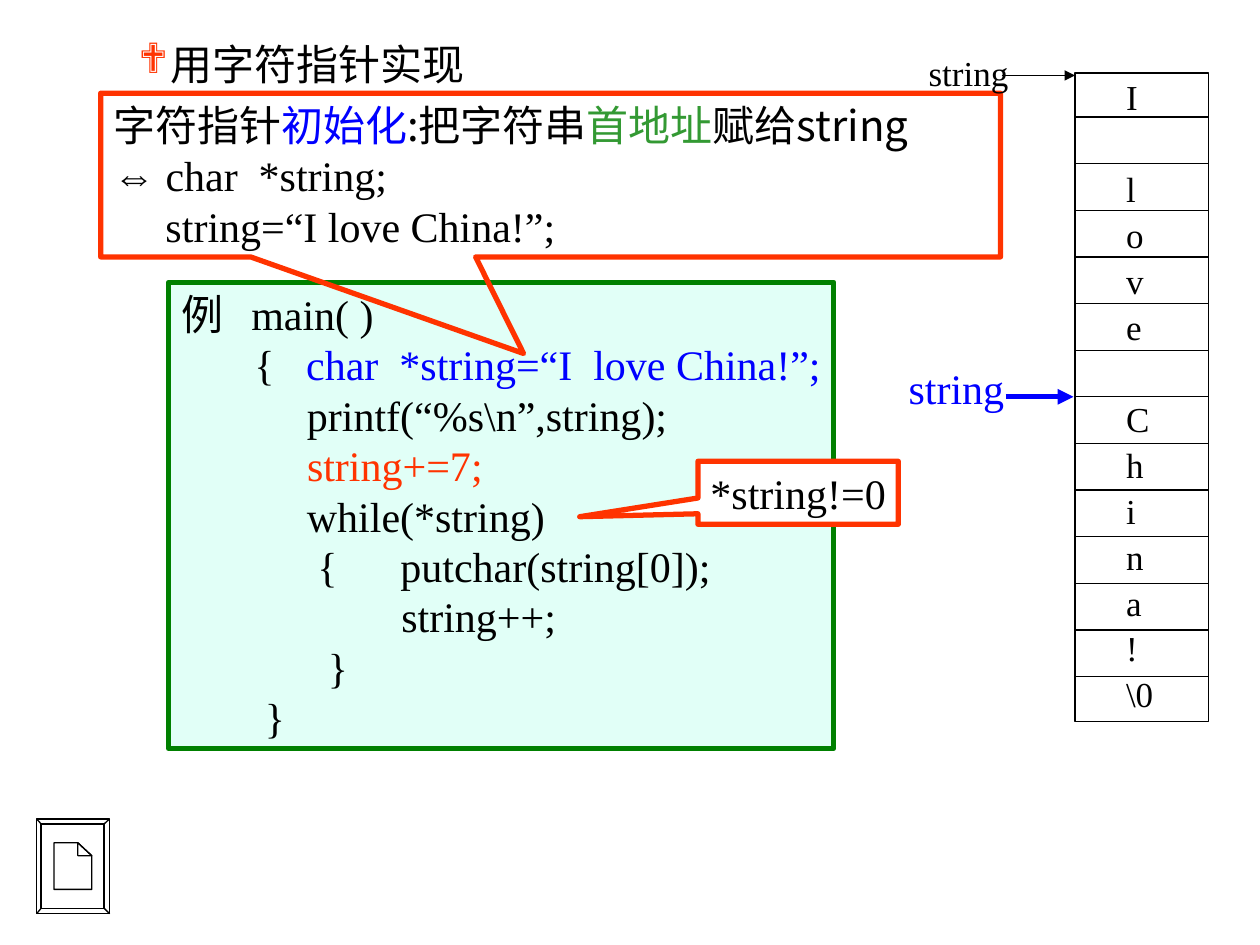
from lxml import etree
from pptx import Presentation
from pptx.dml.color import RGBColor
from pptx.enum.shapes import MSO_CONNECTOR, MSO_SHAPE
from pptx.enum.text import MSO_ANCHOR, MSO_AUTO_SIZE, PP_ALIGN
from pptx.oxml.ns import qn
from pptx.util import Cm, Pt

RECT, CALLOUT = MSO_SHAPE.RECTANGLE, MSO_SHAPE.RECTANGULAR_CALLOUT
STRAIGHT = MSO_CONNECTOR.STRAIGHT
TOP, MIDDLE = MSO_ANCHOR.TOP, MSO_ANCHOR.MIDDLE
LEFT, CENTER = PP_ALIGN.LEFT, PP_ALIGN.CENTER
SERIF, SANS, CJK = "Times New Roman", "Arial", "Noto Sans CJK SC"
COLORS = {"black": "000000", "white": "FFFFFF", "blue": "0000FF", "red": "FF3300",
          "green": "339933", "frame": "008000", "mint": "E1FFF7"}


def write(sp, lines, size=24, anchor=TOP, align=LEFT, wrap=True):
    """Fill a shape with lines; each line is a list of (text, colour, font) runs."""
    tf = sp.text_frame
    tf.word_wrap = wrap
    tf.auto_size = MSO_AUTO_SIZE.NONE
    tf.vertical_anchor = anchor
    for i, runs in enumerate(lines):
        p = tf.paragraphs[0] if i == 0 else tf.add_paragraph()
        p.alignment = align
        for text, color, font in runs:
            r = p.add_run()
            r.text = text
            r.font.size = Pt(size)
            r.font.name = font
            r.font.color.rgb = RGBColor.from_string(COLORS[color])
            etree.SubElement(r.font._element, qn("a:ea"), typeface=CJK)


def add_line(x1, y1, x2, y2, color="black", width=0.75, arrow=False):
    cn = s.shapes.add_connector(STRAIGHT, Cm(x1), Cm(y1), Cm(x2), Cm(y2))
    cn.line.color.rgb = RGBColor.from_string(COLORS[color])
    cn.line.width = Pt(width)
    if arrow:
        etree.SubElement(cn.line._get_or_add_ln(), qn("a:tailEnd"), type="triangle")
    etree.SubElement(cn._element.spPr, qn("a:effectLst"))


prs = Presentation()
prs.slide_width, prs.slide_height = Cm(25.4), Cm(19.05)
s = prs.slides.add_slide(prs.slide_layouts[5])

# Title with a diamond bullet
title = s.shapes.title
title.left, title.top, title.width, title.height = Cm(0), Cm(0.64), Cm(23.9), Cm(1.5)
pPr = title.text_frame.paragraphs[0]._p.get_or_add_pPr()
pPr.set("marL", str(Cm(3.18)))
pPr.set("indent", str(Cm(-0.64)))
clr = etree.SubElement(pPr, qn("a:buClr"))
etree.SubElement(clr, qn("a:srgbClr"), val=COLORS["red"])
etree.SubElement(pPr, qn("a:buFont"), typeface="Wingdings")
etree.SubElement(pPr, qn("a:buChar"), char="❖")
write(title, [[("用字符指针实现", "black", SERIF)]])

# Framed boxes: kind, place, fill, outline, width, callout tip
boxes = []
for kind, place, fill, outline, tip in [
    (RECT, (3.4, 5.69, 13.41, 9.4), "mint", "frame", None),
    (RECT, (21.67, 1.47, 2.69, 13.08), None, "black", None),
    (CALLOUT, (2.03, 1.88, 18.14, 3.3), None, "red", (-0.03, 1.09)),
    (CALLOUT, (14.07, 9.3, 4.04, 1.27), "white", "red", (-1.09, 0.38)),
]:
    sp = s.shapes.add_shape(kind, *map(Cm, place))
    sp.shadow.inherit = False
    if fill:
        sp.fill.solid()
        sp.fill.fore_color.rgb = RGBColor.from_string(COLORS[fill])
    else:
        sp.fill.background()
    sp.line.color.rgb = RGBColor.from_string(COLORS[outline])
    sp.line.width = Pt(0.75 if outline == "black" else 3)
    if tip:
        sp.adjustments[0], sp.adjustments[1] = tip
    boxes.append(sp)
code, array, init_note, test_note = boxes

# Program listing
write(code, [
    [("例   main( )", "black", SERIF)],
    [("       {   ", "black", SERIF), ("char  *string=“I  love China!”;", "blue", SERIF)],
    [("            printf(“%s\\n”,string);", "black", SERIF)],
    [("            ", "black", SERIF), ("string+=7;", "red", SERIF)],
    [("            while(*string)", "black", SERIF)],
    [("             {      putchar(string[0]);", "black", SERIF)],
    [("                     string++;", "black", SERIF)],
    [("              }", "black", SERIF)],
    [("        }", "black", SERIF)],
], wrap=False)

# Callout notes
write(init_note, [
    [("字符指针", "black", CJK), ("初始化", "blue", CJK), (":把字符串", "black", CJK),
     ("首地址", "green", CJK), ("赋给string", "black", CJK)],
    [("⇔", "black", SANS), (" char  *string;", "black", SERIF)],
    [("     string=“I love China!”;", "black", SERIF)],
], anchor=MIDDLE)
write(test_note, [[("*string!=0", "black", SERIF)]], anchor=MIDDLE, align=CENTER, wrap=False)

# Character array: dividers and letters
for i in range(13):
    y = 2.36 + 0.94 * i
    add_line(21.67, y, 24.36, y)
for i, char in enumerate([*"I love China!", "\\0"]):
    if char != " ":
        tb = s.shapes.add_textbox(Cm(22.45), Cm(1.4 + 12.04 / 13 * i), Cm(1.3), Cm(1.12))
        write(tb, [[(char, "black", SERIF)]], size=20)

# Pointer before and after the move
add_line(20.19, 1.52, 21.67, 1.52, arrow=True)
add_line(20.27, 8, 21.64, 8, "blue", 3, arrow=True)
for place, color, size in [((18.47, 0.91, 2.11, 1.12), "black", 20),
                           ((18.06, 7.19, 2.44, 1.27), "blue", 24)]:
    tb = s.shapes.add_textbox(*map(Cm, place))
    write(tb, [[("string", color, SERIF)]], size, MIDDLE, CENTER, wrap=False)

# Document button: bevelled frame, page and folded corner (hundredths of a cm)
outer = [(74, 1651), (221, 1651), (221, 1842), (74, 1842)]
inner = [(83, 1661), (210, 1661), (210, 1831), (83, 1831)]
page = [(109, 1699), (157, 1699), (185, 1725), (185, 1793), (109, 1793)]
fold = [(157, 1699), (185, 1725), (157, 1725)]
fb = s.shapes.build_freeform(*outer[0], scale=Cm(1) / 100)
fb.add_line_segments(outer[1:], close=True)
for contour in (inner, page, fold):
    fb.move_to(*contour[0])
    fb.add_line_segments(contour[1:], close=True)
for start, end in zip(outer, inner):
    fb.move_to(*start)
    fb.add_line_segments([end], close=False)
button = fb.convert_to_shape()
button.shadow.inherit = False
button.fill.solid()
button.fill.fore_color.rgb = RGBColor.from_string(COLORS["white"])
button.line.color.rgb = RGBColor.from_string(COLORS["black"])
button.line.width = Pt(0.75)

prs.save("out.pptx")
